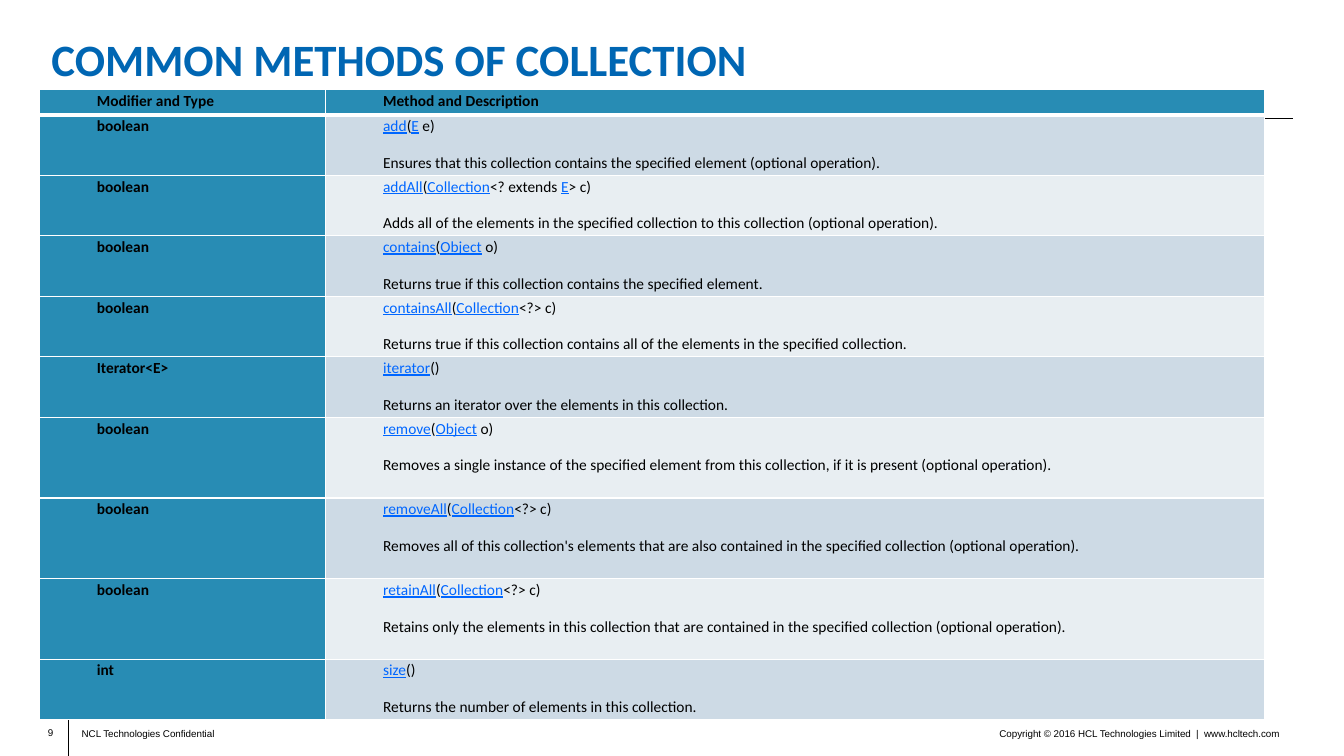
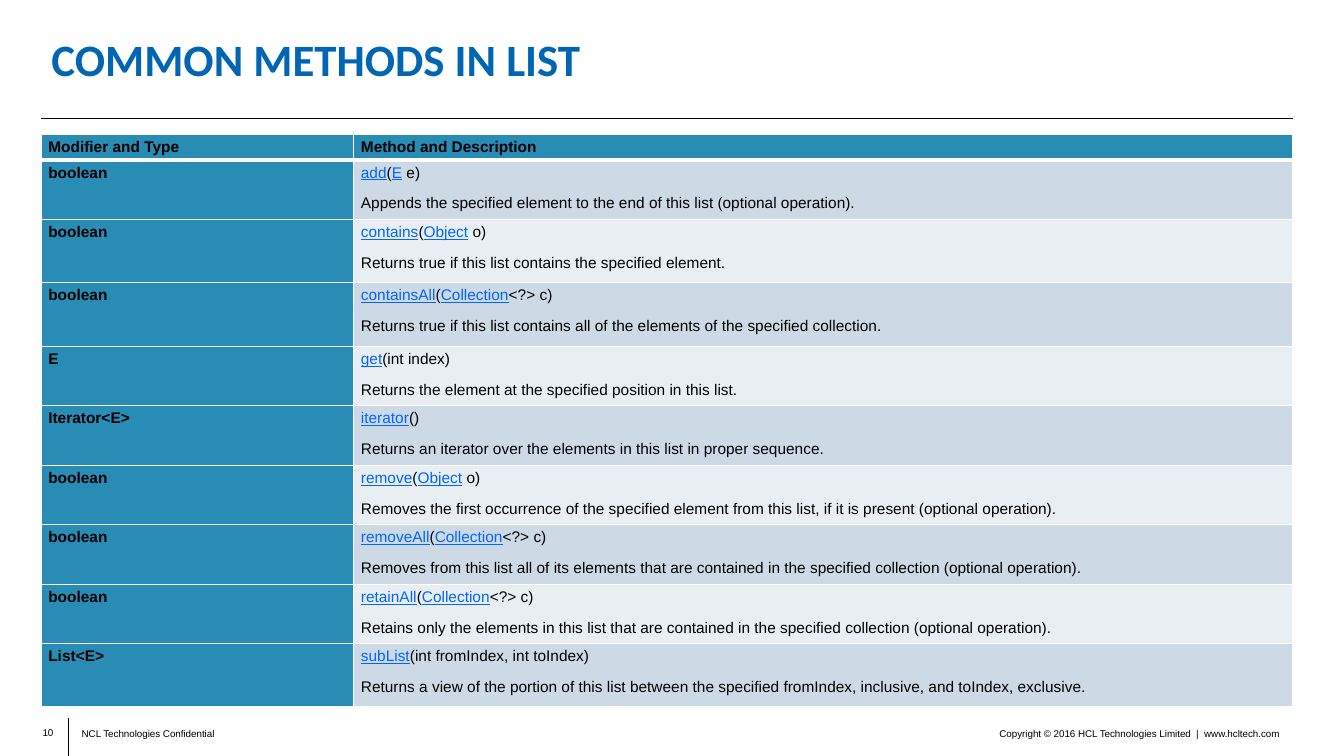
from lxml.etree import SubElement
from pptx import Presentation
from pptx.dml.color import RGBColor
from pptx.enum.shapes import MSO_CONNECTOR
from pptx.enum.text import MSO_ANCHOR, MSO_AUTO_SIZE, PP_ALIGN
from pptx.oxml.ns import qn
from pptx.util import Inches, Pt

HEADINGS = ("Modifier and Type", "Method and Description")

# Each row: type, signature with linked names in [brackets], description
COLLECTION_METHODS = [
    ("boolean", "[add]([E] e)",
     "Ensures that this collection contains the specified element (optional operation)."),
    ("boolean", "[addAll]([Collection]<? extends [E]> c)",
     "Adds all of the elements in the specified collection to this collection (optional operation)."),
    ("boolean", "[contains]([Object] o)",
     "Returns true if this collection contains the specified element."),
    ("boolean", "[containsAll]([Collection]<?> c)",
     "Returns true if this collection contains all of the elements in the specified collection."),
    ("Iterator<E>", "[iterator]()",
     "Returns an iterator over the elements in this collection."),
    ("boolean", "[remove]([Object] o)",
     "Removes a single instance of the specified element from this collection, "
     "if it is present (optional operation)."),
    ("boolean", "[removeAll]([Collection]<?> c)",
     "Removes all of this collection's elements that are also contained in the "
     "specified collection (optional operation)."),
    ("boolean", "[retainAll]([Collection]<?> c)",
     "Retains only the elements in this collection that are contained in the "
     "specified collection (optional operation)."),
    ("int", "[size]()",
     "Returns the number of elements in this collection."),
]

LIST_METHODS = [
    ("boolean", "[add]([E] e)",
     "Appends the specified element to the end of this list (optional operation)."),
    ("boolean", "[contains]([Object] o)",
     "Returns true if this list contains the specified element."),
    ("boolean", "[containsAll]([Collection]<?> c)",
     "Returns true if this list contains all of the elements of the specified collection."),
    ("E", "[get](int index)",
     "Returns the element at the specified position in this list."),
    ("Iterator<E>", "[iterator]()",
     "Returns an iterator over the elements in this list in proper sequence."),
    ("boolean", "[remove]([Object] o)",
     "Removes the first occurrence of the specified element from this list, "
     "if it is present (optional operation)."),
    ("boolean", "[removeAll]([Collection]<?> c)",
     "Removes from this list all of its elements that are contained in the "
     "specified collection (optional operation)."),
    ("boolean", "[retainAll]([Collection]<?> c)",
     "Retains only the elements in this list that are contained in the "
     "specified collection (optional operation)."),
    ("List<E>", "[subList](int fromIndex, int toIndex)",
     "Returns a view of the portion of this list between the specified "
     "fromIndex, inclusive, and toIndex, exclusive."),
]


def rgb(hex_code):
    return RGBColor.from_string(hex_code)


def write(paragraph, text, font="Arial", size=11, color="000000", bold=False,
          underline=False, align=PP_ALIGN.LEFT, spacing=1.0, before=0):
    """Add one formatted run to a paragraph."""
    paragraph.alignment = align
    paragraph.line_spacing = spacing
    paragraph.space_before = Pt(before)
    run = paragraph.add_run()
    run.text = text
    run.font.name = font
    run.font.size = Pt(size)
    run.font.bold = bold
    run.font.underline = underline
    run.font.color.rgb = rgb(color)


def write_signature(paragraph, signature, link_color, **style):
    """Write a signature, styling the names in brackets as links."""
    for index, part in enumerate(signature.replace("]", "[").split("[")):
        if part:
            look = {"color": link_color, "underline": True} if index % 2 else {}
            write(paragraph, part, **look, **style)


class Deck:
    TITLE, LINK, INK, RULE = "0066B3", "0066FF", "000000", "FFFFFF"
    HEAD, BANDS = "288CB4", ("CDDAE5", "E8EEF2")

    def __init__(self):
        self.prs = Presentation()
        self.prs.slide_width = Inches(13.33)
        self.prs.slide_height = Inches(7.5)
        self.slide = None

    def add_slide(self, title, number):
        self.slide = self.prs.slides.add_slide(self.prs.slide_layouts[5])
        self.title(title)
        # Rule below the title and footer divider
        self.line(0.41, 1.17, 12.82, 1.17)
        self.line(0.68, 7.12, 0.68, 7.5)
        # Footer
        self.label(number, 0.23, 7.21, 0.3, 0.11, margins=(0, 0),
                   anchor=MSO_ANCHOR.MIDDLE, align=PP_ALIGN.RIGHT)
        self.label("NCL Technologies Confidential", 0.72, 7.17, 3.18, 0.19)
        self.label("Copyright © 2016 HCL Technologies Limited  |  www.hcltech.com",
                   7.77, 7.17, 5.01, 0.19, align=PP_ALIGN.RIGHT)

    def title(self, text):
        heading = self.slide.shapes.title
        heading.left, heading.top = Inches(0.41), Inches(0.28)
        heading.width, heading.height = Inches(11.46), Inches(0.67)
        frame = heading.text_frame
        frame.auto_size = MSO_AUTO_SIZE.NONE
        frame.vertical_anchor = MSO_ANCHOR.MIDDLE
        write(frame.paragraphs[0], text, font="Calibri", size=32,
              color=self.TITLE, bold=True, spacing=0.9)

    def line(self, x1, y1, x2, y2):
        rule = self.slide.shapes.add_connector(
            MSO_CONNECTOR.STRAIGHT, Inches(x1), Inches(y1), Inches(x2), Inches(y2))
        rule.line.color.rgb = rgb(self.INK)
        rule.line.width = Pt(0.5)
        SubElement(rule._element.spPr, qn("a:effectLst"))

    def label(self, text, left, top, width, height, margins=(0.09, 0.05),
              anchor=MSO_ANCHOR.TOP, align=PP_ALIGN.LEFT):
        frame = self.slide.shapes.add_textbox(
            Inches(left), Inches(top), Inches(width), Inches(height)).text_frame
        frame.word_wrap = True
        frame.vertical_anchor = anchor
        frame.margin_left = frame.margin_right = Inches(margins[0])
        frame.margin_top = frame.margin_bottom = Inches(margins[1])
        write(frame.paragraphs[0], text, size=7, align=align)

    def cell(self, cell, fill, indent, top_rule=1, bottom_rule=1):
        """Set margins, borders and fill; return the text frame."""
        cell.margin_left = Inches(0.07 + indent)
        cell.margin_right = cell.margin_top = cell.margin_bottom = Inches(0.03)
        properties = cell._tc.get_or_add_tcPr()
        for side, width in zip("LRTB", (1, 1, top_rule, bottom_rule)):
            border = SubElement(properties, qn(f"a:ln{side}"), w=str(Pt(width)))
            solid = SubElement(border, qn("a:solidFill"))
            SubElement(solid, qn("a:srgbClr"), val=self.RULE)
        cell.fill.solid()
        cell.fill.fore_color.rgb = rgb(fill)
        return cell.text_frame

    def method_table(self, methods, left, top, columns, heights,
                     indent=0, gap=9, **style):
        grid = self.slide.shapes.add_table(
            len(heights), len(columns), Inches(left), Inches(top),
            Inches(sum(columns)), Inches(sum(heights))).table
        for column, width in zip(grid.columns, columns):
            column.width = Inches(width)
        for row, height in zip(grid.rows, heights):
            row.height = Inches(height)
        # Header row
        for column, heading in enumerate(HEADINGS):
            frame = self.cell(grid.cell(0, column), self.HEAD, indent, bottom_rule=3)
            write(frame.paragraphs[0], heading, bold=True, **style)
        # One row for each method
        for row, (kind, signature, description) in enumerate(methods, 1):
            top_rule = 3 if row == 1 else 1
            frame = self.cell(grid.cell(row, 0), self.HEAD, indent, top_rule)
            write(frame.paragraphs[0], kind, bold=True, **style)
            band = self.BANDS[(row - 1) % 2]
            frame = self.cell(grid.cell(row, 1), band, indent, top_rule)
            write_signature(frame.paragraphs[0], signature, self.LINK, **style)
            write(frame.add_paragraph(), description, before=gap, **style)


def main():
    deck = Deck()

    # Methods of Collection
    deck.add_slide("COMMON METHODS OF COLLECTION", "9")
    deck.method_table(COLLECTION_METHODS, 0.39, 0.89, (2.84, 9.31),
                      [0.25] + [0.6] * 5 + [0.8] * 3 + [0.6],
                      indent=0.5, gap=14, font="Calibri", spacing=0.9)

    # Methods of List
    deck.add_slide("COMMON METHODS IN LIST", "10")
    deck.method_table(LIST_METHODS, 0.41, 1.33, (3.1, 9.31),
                      [0.24, 0.59] + [0.63] * 2 + [0.59] * 5 + [0.63],
                      spacing=1.07)

    deck.prs.save("out.pptx")


if __name__ == "__main__":
    main()
